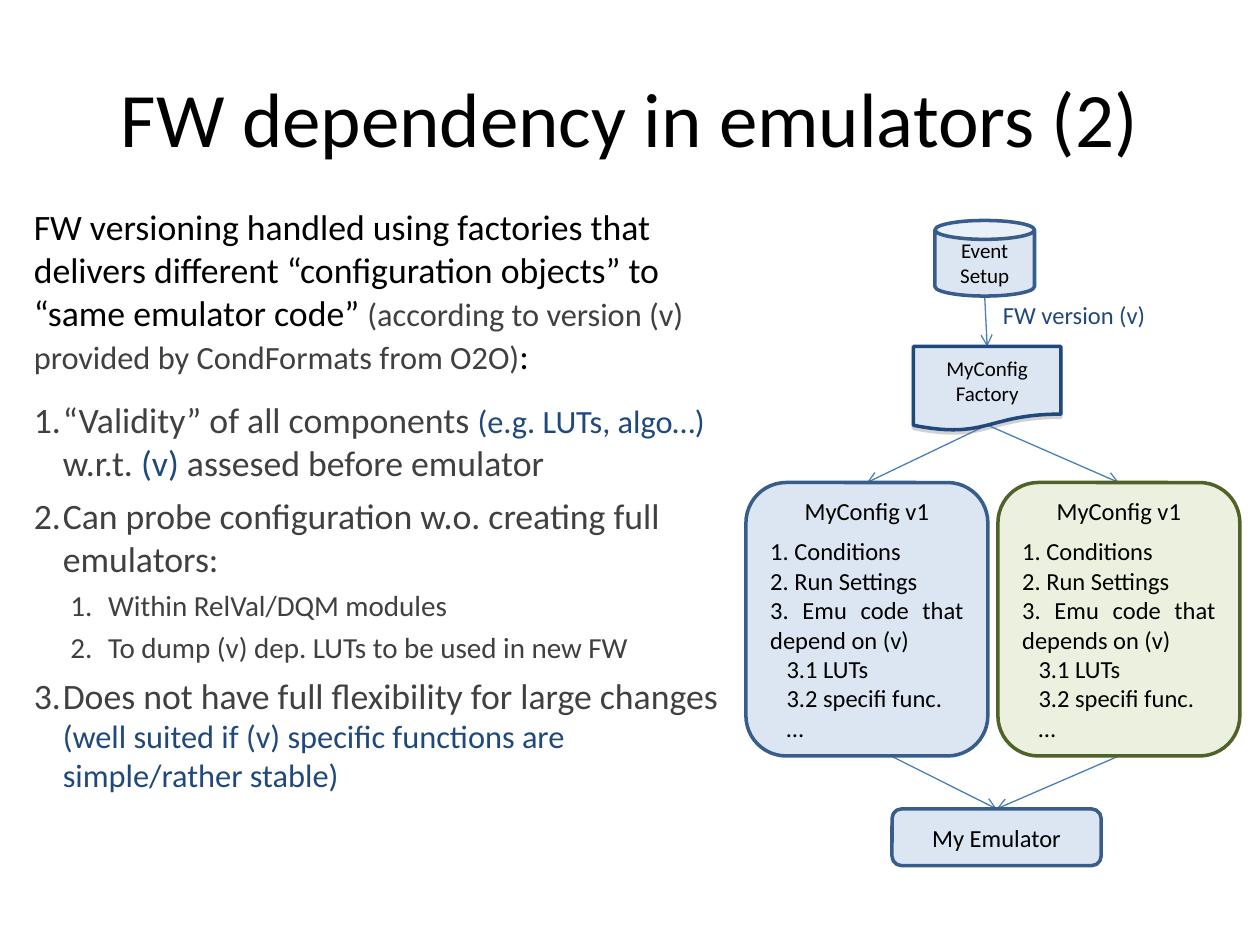
from dataclasses import dataclass

from lxml import etree
from pptx import Presentation
from pptx.dml.color import RGBColor
from pptx.enum.shapes import MSO_CONNECTOR, MSO_SHAPE
from pptx.enum.text import MSO_ANCHOR, PP_ALIGN
from pptx.oxml.ns import qn
from pptx.util import Inches, Pt


@dataclass(frozen=True)
class Theme:
    font: str = "Calibri"
    black: str = "000000"
    grey: str = "404040"
    navy: str = "1F497D"
    arrow: str = "4A7EBB"
    blue_line: str = "385D8A"
    blue_fill: str = "DCE6F2"
    green_line: str = "4F6228"
    green_fill: str = "EBF1DE"
    shadow: str = "808080"
    title: float = 44
    body: float = 20.4
    remark: float = 18.5
    sub_item: float = 16.6
    node: float = 14
    small_node: float = 12


@dataclass(frozen=True)
class Box:
    """A rectangle in inches."""
    left: float
    top: float
    width: float
    height: float

    def inner(self, left, top, width, height):
        """A box placed relative to this one."""
        return Box(self.left + left, self.top + top, width, height)

    def at(self, across, down):
        """The point at the given fractions of width and height."""
        return self.left + self.width * across, self.top + self.height * down

    def lengths(self):
        return [Inches(value) for value in (self.left, self.top, self.width, self.height)]


THEME = Theme()


def add_run(paragraph, text, size, color):
    run = paragraph.add_run()
    run.text = text
    run.font.name = THEME.font
    run.font.size = Pt(size)
    run.font.color.rgb = RGBColor.from_string(color)


def add_paragraph(text_frame, index, runs, align=PP_ALIGN.LEFT):
    paragraph = text_frame.paragraphs[0] if index == 0 else text_frame.add_paragraph()
    paragraph.alignment = align
    for run in runs:
        add_run(paragraph, *run)
    return paragraph


def add_text_box(slide, box):
    text_frame = slide.shapes.add_textbox(*box.lengths()).text_frame
    text_frame.word_wrap = True
    return text_frame


def set_indent(paragraph, margin, hanging=0):
    properties = paragraph._p.get_or_add_pPr()
    properties.set("marL", str(Inches(margin)))
    properties.set("indent", str(-Inches(hanging)))
    return properties


def number_paragraph(paragraph, margin, hanging):
    properties = set_indent(paragraph, margin, hanging)
    color = etree.SubElement(properties, qn("a:buClr"))
    etree.SubElement(color, qn("a:srgbClr"), val=THEME.grey)
    etree.SubElement(properties, qn("a:buFont"), typeface=THEME.font)
    etree.SubElement(properties, qn("a:buAutoNum"), type="arabicPeriod")


def add_title(slide, box):
    text_frame = add_text_box(slide, box)
    text_frame.vertical_anchor = MSO_ANCHOR.MIDDLE
    add_paragraph(text_frame, 0, [("FW dependency in emulators (2)", THEME.title, THEME.black)],
                  PP_ALIGN.CENTER)


def add_body(slide, box):
    body, remark, sub_item = THEME.body, THEME.remark, THEME.sub_item
    black, grey, navy = THEME.black, THEME.grey, THEME.navy
    text_frame = add_text_box(slide, box)
    add_paragraph(text_frame, 0, [
        ("FW versioning handled using factories that delivers different "
         "“configuration objects” to “same emulator code” ", body, black),
        ("(according to version (v) provided by CondFormats from O2O)", remark, grey),
        (":", body, black),
    ])
    items = [
        (0, 12.3, [("“Validity” of all components ", body, grey),
                   ("(e.g. LUTs, algo…) ", remark, navy),
                   ("w.r.t. ", body, grey), ("(v)", body, navy),
                   (" assesed before emulator", body, grey)]),
        (0, 5.5, [("Can probe configuration w.o. creating full emulators:", body, grey)]),
        (1, 4.5, [("Within RelVal/DQM modules", sub_item, grey)]),
        (1, 4.5, [("To dump (v) dep. LUTs to be used in new FW", sub_item, grey)]),
        (0, 5, [("Does not have full flexibility for large changes ", body, grey),
                ("(well suited if (v) specific functions are simple/rather stable)",
                 remark, navy)]),
    ]
    indents = [(0.23, 0.23), (0.59, 0.3)]
    for index, (level, space, runs) in enumerate(items, start=1):
        paragraph = add_paragraph(text_frame, index, runs)
        paragraph.level = level
        number_paragraph(paragraph, *indents[level])
        paragraph.space_before = Pt(space)


def add_node(slide, preset, box, fill, line, lines=(), size=THEME.node):
    shape = slide.shapes.add_shape(preset, *box.lengths())
    shape.shadow.inherit = False
    shape.fill.solid()
    shape.fill.fore_color.rgb = RGBColor.from_string(fill)
    shape.line.color.rgb = RGBColor.from_string(line)
    shape.line.width = Pt(2)
    shape.text_frame.word_wrap = True
    shape.text_frame.vertical_anchor = MSO_ANCHOR.MIDDLE
    for index, text in enumerate(lines):
        add_paragraph(shape.text_frame, index, [(text, size, THEME.black)], PP_ALIGN.CENTER)
    return shape


def add_drop_shadow(shape):
    effects = shape._element.spPr.find(qn("a:effectLst"))
    shadow = etree.SubElement(effects, qn("a:outerShdw"), dist=str(Pt(1.8)),
                              dir="5400000", rotWithShape="0")
    color = etree.SubElement(shadow, qn("a:srgbClr"), val=THEME.shadow)
    etree.SubElement(color, qn("a:alpha"), val="35000")


def add_arrow(slide, start, end):
    ends = [Inches(value) for value in (*start, *end)]
    connector = slide.shapes.add_connector(MSO_CONNECTOR.STRAIGHT, *ends)
    connector.line.color.rgb = RGBColor.from_string(THEME.arrow)
    connector.line.width = Pt(0.75)
    properties = connector._element.spPr
    etree.SubElement(properties.find(qn("a:ln")), qn("a:tailEnd"), type="arrow")
    etree.SubElement(properties, qn("a:effectLst"))


def add_config_panel(slide, box, fill, line, code_line):
    shape = add_node(slide, MSO_SHAPE.ROUNDED_RECTANGLE, box, fill, line, ["MyConfig v1"])
    rows = [("1. Conditions", 0), ("2. Run Settings", 0), (code_line, 0),
            ("3.1 LUTs", 0.13), ("3.2 specifi func.", 0.13), ("…", 0.13)]
    for index, (text, margin) in enumerate(rows, start=1):
        align = PP_ALIGN.JUSTIFY if text == code_line else PP_ALIGN.LEFT
        paragraph = add_paragraph(shape.text_frame, index,
                                  [(text, THEME.node, THEME.black)], align)
        set_indent(paragraph, margin)
        if index == 1:
            paragraph.space_before = Pt(6.1)


def add_flow_diagram(slide, box):
    setup = box.inner(1.5, 0, 0.79, 0.6)
    factory = box.inner(1.33, 1, 1.17, 0.67)
    blue_panel, green_panel = [box.inner(left, 2.08, 1.92, 2.17) for left in (0, 2)]
    emulator = box.inner(1.16, 4.67, 1.66, 0.45)

    add_arrow(slide, setup.at(0.5, 1), factory.at(0.5, 0))
    for panel, exit_fraction in ((blue_panel, 0.6), (green_panel, 0.5)):
        add_arrow(slide, factory.at(0.5, 0.93), panel.at(0.5, 0))
        add_arrow(slide, panel.at(exit_fraction, 1), emulator.at(0.5, 0))

    blue = (THEME.blue_fill, THEME.blue_line)
    add_node(slide, MSO_SHAPE.CAN, setup, *blue, ["Event", "Setup"], THEME.small_node)
    add_drop_shadow(add_node(slide, MSO_SHAPE.FLOWCHART_DOCUMENT, factory, THEME.blue_fill,
                             THEME.navy, ["MyConfig", "Factory"], THEME.small_node))
    label = add_text_box(slide, box.inner(1.88, 0.58, 1.45, 0.34))
    add_paragraph(label, 0, [("FW version (v)", THEME.node, THEME.navy)], PP_ALIGN.CENTER)
    add_config_panel(slide, blue_panel, *blue, "3. Emu code that depend on (v)")
    add_config_panel(slide, green_panel, THEME.green_fill, THEME.green_line,
                     "3. Emu code that depends on (v)")
    add_node(slide, MSO_SHAPE.ROUNDED_RECTANGLE, emulator, *blue, ["My Emulator"])


def main():
    presentation = Presentation()
    presentation.slide_width, presentation.slide_height = Inches(10), Inches(7.5)
    slide = presentation.slides.add_slide(presentation.slide_layouts[6])
    add_title(slide, Box(0.5, 0.3, 9, 1.25))
    add_body(slide, Box(0.17, 1.58, 5.83, 5.17))
    add_flow_diagram(slide, Box(5.92, 1.75, 3.92, 5.12))
    presentation.save("out.pptx")


if __name__ == "__main__":
    main()
